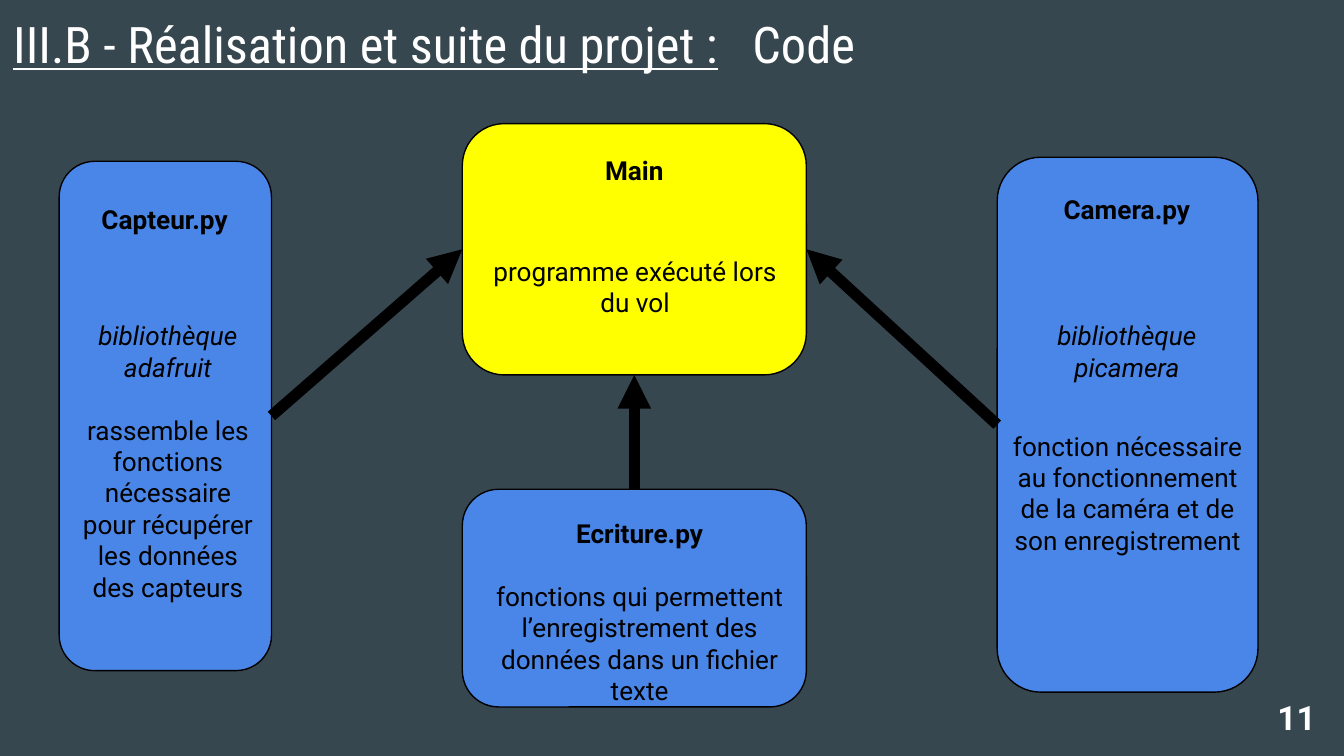
from lxml import etree
from pptx import Presentation
from pptx.dml.color import RGBColor
from pptx.enum.shapes import MSO_CONNECTOR, MSO_SHAPE
from pptx.enum.text import MSO_ANCHOR, PP_ALIGN
from pptx.oxml.ns import qn
from pptx.util import Inches, Pt

LEFT, CENTER, RIGHT = PP_ALIGN.LEFT, PP_ALIGN.CENTER, PP_ALIGN.RIGHT
TOP_ANCHOR, MIDDLE = MSO_ANCHOR.TOP, MSO_ANCHOR.MIDDLE
ROUNDED = MSO_SHAPE.ROUNDED_RECTANGLE
STRAIGHT = MSO_CONNECTOR.STRAIGHT
TOP, LEFT_SIDE, BOTTOM, RIGHT_SIDE = range(4)

SLATE, WHITE, BLACK = "37474F", "FFFFFF", "000000"
BLUE, YELLOW = "4A86E8", "FFFF00"
BODY = {"name": "Roboto", "size": Pt(14)}
BOLD = {**BODY, "bold": True}
ITALIC = {**BODY, "italic": True}
TITLE = {"name": "Roboto Condensed", "size": Pt(27)}
NUMBER = {"name": "Roboto", "size": Pt(18), "bold": True}
LINE_GAP = Pt(16.8)

CARDS = {
    "main": ((3.44, 0.92, 2.56, 1.87), YELLOW, [
        ((0.13, 0.13, 2.3, 0.44), [("Main", BOLD)]),
        ((0.06, 0.88, 2.45, 0.67), [("programme exécuté lors du vol", BODY)]),
    ]),
    "capteur": ((0.44, 1.2, 1.58, 3.79), BLUE, [
        ((0.08, 0.21, 1.41, 0.44), [("Capteur.py", BOLD)]),
        ((0.04, 1.08, 1.54, 2.32), [
            ("bibliothèque adafruit", ITALIC),
            ("rassemble les fonctions nécessaire pour récupérer "
             "les données des capteurs", BODY),
        ]),
    ]),
    "camera": ((7.42, 1.17, 1.94, 3.98), BLUE, [
        ((0.13, 0.17, 1.67, 0.44), [("Camera.py", BOLD)]),
        ((0.26, 1.11, 1.41, 0.67), [("bibliothèque picamera", ITALIC)]),
        ((0, 1.93, 1.94, 1.14), [
            ("fonction nécessaire au fonctionnement de la caméra "
             "et de son enregistrement", BODY),
        ]),
    ]),
    "ecriture": ((3.44, 3.64, 2.56, 1.62), BLUE, [
        ((0.04, 0.11, 2.56, 1.38), [
            ("Ecriture.py", BOLD),
            ("fonctions qui permettent l’enregistrement des données "
             "dans un fichier texte", BODY),
        ]),
    ]),
}
ARROWS = [
    ("capteur", RIGHT_SIDE, LEFT_SIDE),
    ("camera", LEFT_SIDE, RIGHT_SIDE),
    ("ecriture", TOP, BOTTOM),
]


def rgb(value):
    return RGBColor.from_string(value)


def add_box(slide, box, anchor=TOP_ANCHOR):
    tf = slide.shapes.add_textbox(*map(Inches, box)).text_frame
    inset = Inches(0.1)
    settings = {"word_wrap": True, "vertical_anchor": anchor,
                "margin_left": inset, "margin_right": inset,
                "margin_top": inset, "margin_bottom": inset}
    for key, value in settings.items():
        setattr(tf, key, value)
    return tf


def add_run(p, text, style, color):
    r = p.add_run()
    r.text = text
    r.font.color.rgb = rgb(color)
    for key, value in style.items():
        setattr(r.font, key, value)


def add_title(slide, box):
    p = add_box(slide, box).paragraphs[0]
    p.alignment = LEFT
    tabs = etree.SubElement(p._p.get_or_add_pPr(), qn("a:tabLst"))
    etree.SubElement(tabs, qn("a:tab"), pos=str(Inches(5.5)), algn="l")
    add_run(p, "III.B - Réalisation et suite du projet :",
            {**TITLE, "underline": True}, WHITE)
    add_run(p, "\tCode", TITLE, WHITE)


def add_page_number(slide, box):
    p = add_box(slide, box, MIDDLE).paragraphs[0]
    p.alignment = RIGHT
    add_run(p, "11", NUMBER, WHITE)


def add_card(slide, box, fill, texts):
    s = slide.shapes.add_shape(ROUNDED, *map(Inches, box))
    s.shadow.inherit = False
    s.adjustments[0] = 0.167
    s.fill.solid()
    s.fill.fore_color.rgb = rgb(fill)
    s.line.color.rgb = rgb(BLACK)
    s.line.width = Pt(0.75)
    for (dx, dy, width, height), paragraphs in texts:
        tf = add_box(slide, (box[0] + dx, box[1] + dy, width, height))
        for i, (text, style) in enumerate(paragraphs):
            p = tf.add_paragraph() if i else tf.paragraphs[0]
            p.alignment = CENTER
            if i:
                p.space_before = LINE_GAP
            add_run(p, text, style, BLACK)
    return s


def add_arrow(slide, start, start_site, end, end_site):
    c = slide.shapes.add_connector(STRAIGHT, 0, 0, 0, 0)
    c.begin_connect(start, start_site)
    c.end_connect(end, end_site)
    c.line.color.rgb = rgb(BLACK)
    c.line.width = Pt(6)
    etree.SubElement(c.line._get_or_add_ln(), qn("a:tailEnd"), type="triangle")
    etree.SubElement(c._element.spPr, qn("a:effectLst"))


def main():
    prs = Presentation()
    prs.slide_width = Inches(10)
    prs.slide_height = prs.slide_width * 9 // 16
    slide = prs.slides.add_slide(prs.slide_layouts[6])
    slide.background.fill.solid()
    slide.background.fill.fore_color.rgb = rgb(SLATE)
    add_title(slide, (0, 0, 9.32, 0.63))
    add_page_number(slide, (9.29, 5.12, 0.6, 0.43))
    cards = {name: add_card(slide, *card) for name, card in CARDS.items()}
    for name, start_site, end_site in ARROWS:
        add_arrow(slide, cards[name], start_site, cards["main"], end_site)
    prs.save("out.pptx")


if __name__ == "__main__":
    main()
